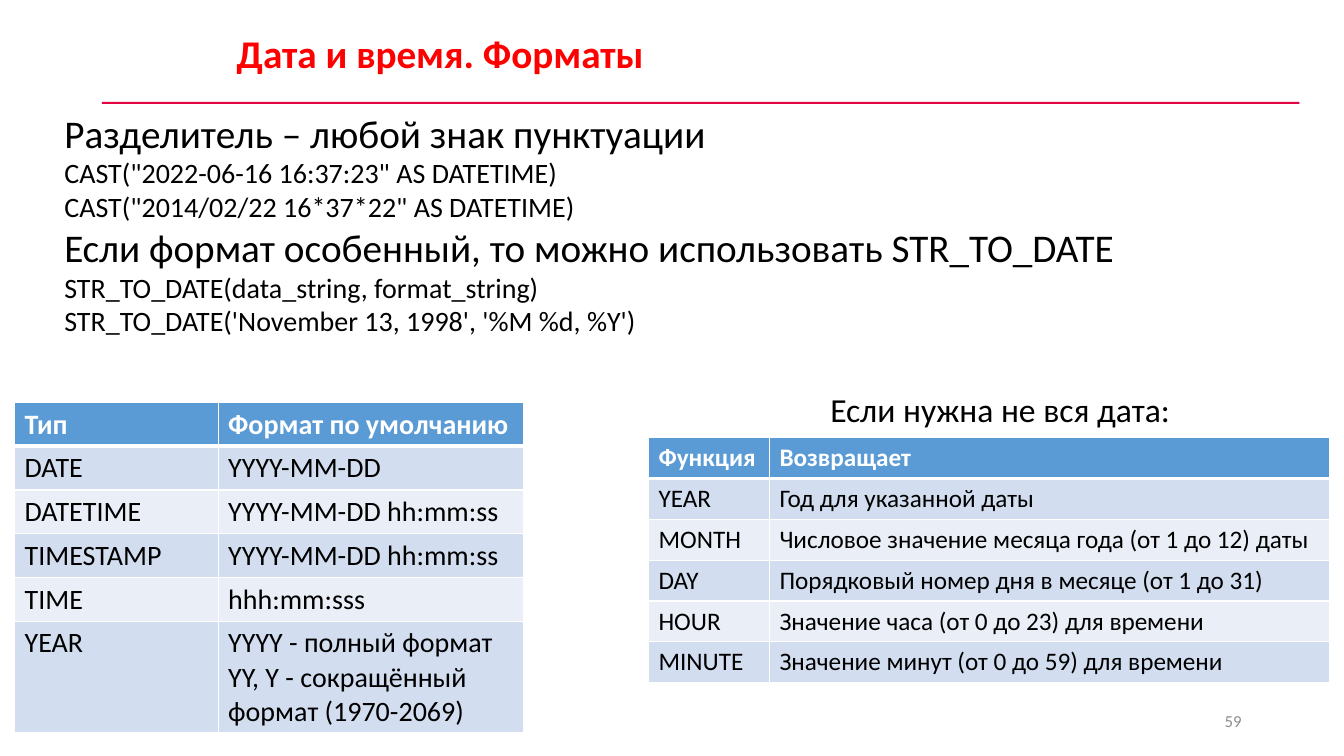
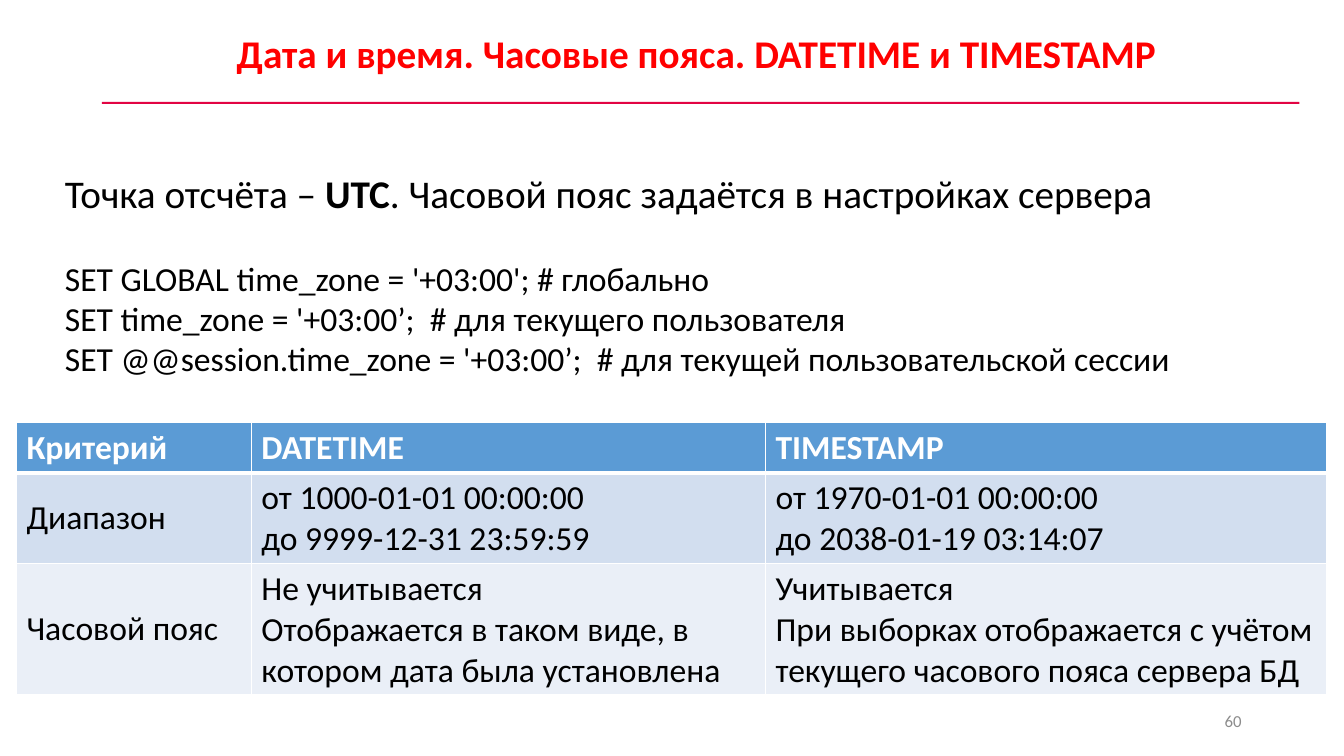
from dataclasses import dataclass

from lxml.etree import SubElement
from pptx import Presentation
from pptx.dml.color import RGBColor
from pptx.enum.shapes import MSO_SHAPE
from pptx.enum.text import MSO_ANCHOR as ANCHOR, PP_ALIGN as ALIGN
from pptx.oxml.ns import qn
from pptx.util import Pt

FONT = "Calibri"
BLACK, WHITE, GREY = "000000", "FFFFFF", "8C8C8C"
TITLE_RED, RULE_RED = "FF0000", "E20443"
HEADER_FILL = "5B9BD5"
BAND_FILLS = ("D2DEEF", "EAEFF7")
FIRST_NUMBER = 59


@dataclass(frozen=True)
class Box:
    left: float
    top: float
    width: float
    height: float

    def lengths(self) -> tuple:
        return Pt(self.left), Pt(self.top), Pt(self.width), Pt(self.height)


@dataclass(frozen=True)
class Line:
    text: str
    size: float
    before: float = 0


@dataclass(frozen=True)
class TextBlock:
    box: Box
    lines: tuple[Line, ...]
    wrap: bool = True


@dataclass(frozen=True)
class Grid:
    left: float
    top: float
    cols: tuple[float, ...]
    heights: tuple[float, ...]
    size: float
    rows: tuple[tuple[str, ...], ...]
    top_rows: tuple[int, ...] = ()


@dataclass(frozen=True)
class Page:
    title: str
    texts: tuple[TextBlock, ...]
    grids: tuple[Grid, ...]


PAGES = (
    Page(
        "Дата и время. Форматы",
        (
            TextBlock(Box(38.9, 74.2, 881, 172), (
                Line("Разделитель – любой знак пунктуации", 28),
                Line('CAST("2022-06-16 16:37:23" AS DATETIME)', 20),
                Line('CAST("2014/02/22 16*37*22" AS DATETIME)', 20),
                Line("Если формат особенный, то можно использовать STR_TO_DATE", 28),
                Line("STR_TO_DATE(data_string, format_string)", 20),
                Line("STR_TO_DATE('November 13, 1998', '%M %d, %Y')", 20),
            )),
            TextBlock(Box(586, 274.3, 259, 36),
                      (Line("Если нужна не вся дата:", 24),), wrap=False),
        ),
        (
            Grid(10.4, 287.5, (145.4, 218.2), (31.2,) * 5 + (79.4,), 20, (
                ("Тип", "Формат по умолчанию"),
                ("DATE", "YYYY-MM-DD"),
                ("DATETIME", "YYYY-MM-DD hh:mm:ss"),
                ("TIMESTAMP", "YYYY-MM-DD hh:mm:ss"),
                ("TIME", "hhh:mm:sss"),
                ("YEAR", "YYYY - полный формат \nYY, Y - сокращённый формат (1970-2069)"),
            ), top_rows=(0, 5)),
            Grid(463.2, 312.5, (86.4, 400.3), (29.2,) * 6, 18, (
                ("Функция", "Возвращает"),
                ("YEAR", "Год для указанной даты"),
                ("MONTH", "Числовое значение месяца года (от 1 до 12) даты"),
                ("DAY", "Порядковый номер дня в месяце (от 1 до 31)"),
                ("HOUR", "Значение часа (от 0 до 23) для времени"),
                ("MINUTE", "Значение минут (от 0 до 59) для времени"),
            )),
        ),
    ),
    Page(
        "Дата и время. Часовые пояса. DATETIME и TIMESTAMP",
        (
            TextBlock(Box(39.3, 117.4, 881, 158), (
                Line("Точка отсчёта – **UTC**. Часовой пояс задаётся в настройках сервера", 28),
                Line("SET GLOBAL time_zone = '+03:00'; # глобально", 24, before=29.3),
                Line("SET time_zone = '+03:00’;  # для текущего пользователя", 24),
                Line("SET @@session.time_zone = '+03:00’;  # для текущей пользовательской сессии", 24),
            )),
        ),
        (
            Grid(11.8, 301.7, (167.8, 367.2, 401), (36, 65, 93.5), 24, (
                ("Критерий", "DATETIME", "TIMESTAMP"),
                ("Диапазон",
                 "от 1000-01-01 00:00:00 \nдо 9999-12-31 23:59:59",
                 "от 1970-01-01 00:00:00 \nдо 2038-01-19 03:14:07"),
                ("Часовой пояс",
                 "Не учитывается \nОтображается в таком виде, в котором дата была установлена",
                 "Учитывается \nПри выборках отображается с учётом текущего часового пояса сервера БД"),
            )),
        ),
    ),
)


def rgb(value: str) -> RGBColor:
    return RGBColor.from_string(value)


def write(p, text: str, *, size: float, color: str = BLACK, bold: bool = False,
          align=ALIGN.LEFT, before: float = 0) -> None:
    p.alignment = align
    p.space_before = Pt(before)
    for i, chunk in enumerate(text.split("**")):
        for j, part in enumerate(chunk.split("\n")):
            if j:
                p.add_line_break()
            r = p.add_run()
            r.text = part
            r.font.name = FONT
            r.font.size = Pt(size)
            r.font.bold = bold or i % 2 == 1
            r.font.color.rgb = rgb(color)


def add_frame(s, box: Box, *, wrap: bool = True, anchor=ANCHOR.TOP):
    tf = s.shapes.add_textbox(*box.lengths()).text_frame
    tf.word_wrap = wrap
    tf.vertical_anchor = anchor
    return tf


def add_block(s, block: TextBlock) -> None:
    tf = add_frame(s, block.box, wrap=block.wrap)
    for i, line in enumerate(block.lines):
        p = tf.add_paragraph() if i else tf.paragraphs[0]
        write(p, line.text, size=line.size, before=line.before)


def add_borders(cell, row: int) -> None:
    tc_pr = cell._tc.get_or_add_tcPr()
    widths = {"L": 1, "R": 1, "T": 3 if row == 1 else 1, "B": 3 if row == 0 else 1}
    for side, width in widths.items():
        ln = SubElement(tc_pr, qn(f"a:ln{side}"), w=str(Pt(width)))
        SubElement(SubElement(ln, qn("a:solidFill")), qn("a:srgbClr"), val=WHITE)


def add_grid(s, grid: Grid) -> None:
    box = Box(grid.left, grid.top, sum(grid.cols), sum(grid.heights))
    table = s.shapes.add_table(len(grid.rows), len(grid.cols), *box.lengths()).table
    for column, width in zip(table.columns, grid.cols):
        column.width = Pt(width)
    for i, (texts, height) in enumerate(zip(grid.rows, grid.heights)):
        table.rows[i].height = Pt(height)
        header = i == 0
        for j, text in enumerate(texts):
            cell = table.cell(i, j)
            add_borders(cell, i)
            cell.fill.solid()
            cell.fill.fore_color.rgb = rgb(HEADER_FILL if header else BAND_FILLS[(i - 1) % 2])
            cell.vertical_anchor = ANCHOR.TOP if i in grid.top_rows else ANCHOR.MIDDLE
            write(cell.text_frame.paragraphs[0], text, size=grid.size,
                  color=WHITE if header else BLACK, bold=header)


def add_chrome(s, title: str, number: int) -> None:
    sp = s.shapes.add_shape(MSO_SHAPE.RECTANGLE, *Box(72.7, 72.7, 855.4, 1.6).lengths())
    sp.shadow.inherit = False
    sp.fill.solid()
    sp.fill.fore_color.rgb = rgb(RULE_RED)
    sp.line.fill.background()
    tf = add_frame(s, Box(162, 17.3, 771, 41))
    write(tf.paragraphs[0], title, size=28, color=TITLE_RED, bold=True)
    tf = add_frame(s, Box(678, 500.5, 216, 28.8), anchor=ANCHOR.MIDDLE)
    write(tf.paragraphs[0], str(number), size=12, color=GREY, align=ALIGN.RIGHT)


def main() -> None:
    prs = Presentation()
    prs.slide_width, prs.slide_height = Pt(960), Pt(540)
    for number, page in enumerate(PAGES, FIRST_NUMBER):
        s = prs.slides.add_slide(prs.slide_layouts[6])
        add_chrome(s, page.title, number)
        for block in page.texts:
            add_block(s, block)
        for grid in page.grids:
            add_grid(s, grid)
    prs.save("out.pptx")


if __name__ == "__main__":
    main()
